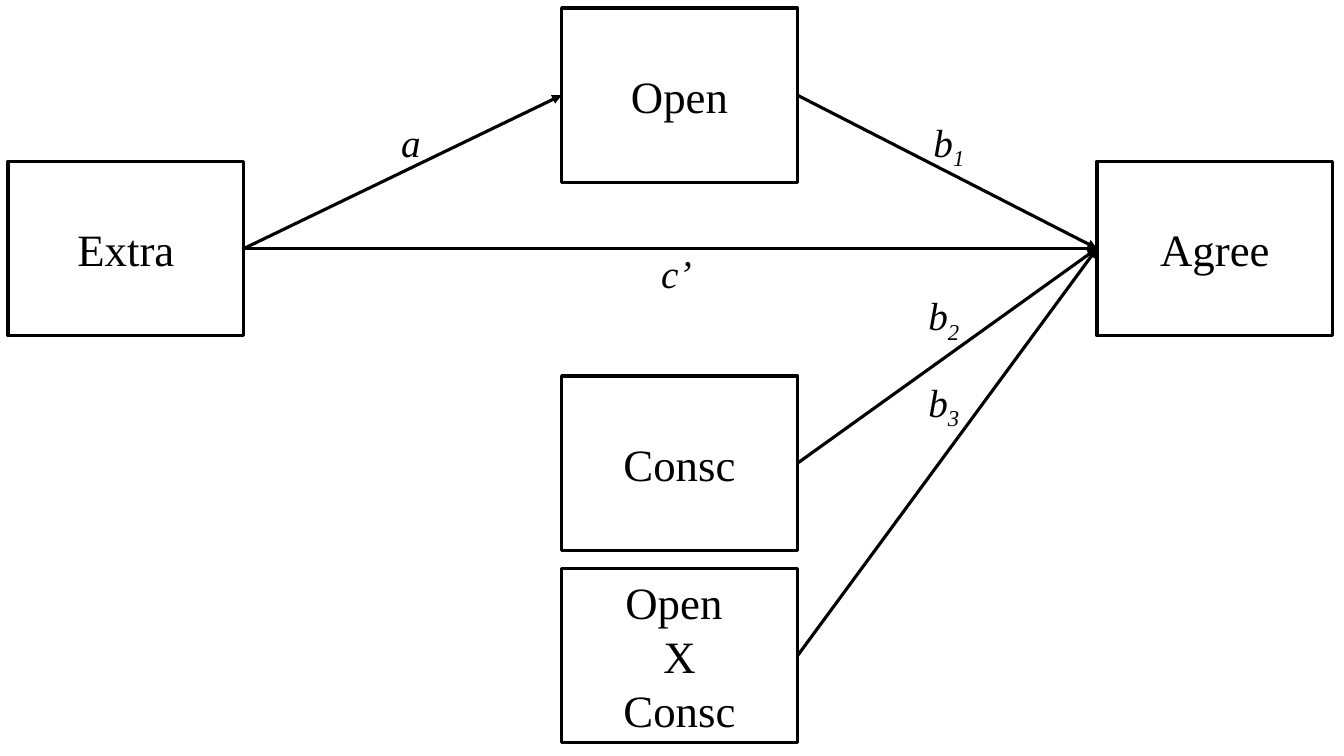
from pptx import Presentation
from pptx.dml.color import RGBColor
from pptx.enum import shapes, text
from pptx.oxml.ns import qn
from pptx.util import Inches, Pt
from lxml import etree

theme = dict(font="Times New Roman", ink=RGBColor(0, 0, 0),
             paper=RGBColor(255, 255, 255), line=Pt(2.25), box=Pt(32), label=Pt(28))

deck = Presentation()
deck.slide_width, deck.slide_height = Inches(13.33), Inches(7.5)
slide = deck.slides.add_slide(deck.slide_layouts[6])


def style(font, size, italic=False):
    for name, value in dict(name=theme["font"], size=size, italic=italic).items():
        setattr(font, name, value)
    font.color.rgb = theme["ink"]


def stroke(line):
    line.color.rgb = theme["ink"]
    line.width = theme["line"]


# Variables of the model: three columns, all boxes the same size
wide, high = 2.34, 1.73
left, middle, right = 0.08, 5.57, 10.88
places = {
    "Extra": (left, 1.6, ["Extra"]),
    "Open": (middle, 0.08, ["Open"]),
    "Consc": (middle, 3.73, ["Consc"]),
    "Product": (middle, 5.64, ["Open ", "X", "Consc"]),
    "Agree": (right, 1.6, ["Agree"]),
}
boxes = {}
for key, (x, y, words) in places.items():
    box = slide.shapes.add_shape(shapes.MSO_SHAPE.RECTANGLE, Inches(x), Inches(y),
                                 Inches(wide), Inches(high))
    box.shadow.inherit = False
    box.fill.solid()
    box.fill.fore_color.rgb = theme["paper"]
    stroke(box.line)
    frame = box.text_frame
    frame.vertical_anchor = text.MSO_ANCHOR.MIDDLE
    frame.text = "\n".join(words)
    for para in frame.paragraphs:
        para.alignment = text.PP_ALIGN.CENTER
        style(para.runs[0].font, theme["box"])
    boxes[key] = box

# Paths: from the right side of one box to the left side of another
left_side, right_side = 1, 3
paths = [("Extra", "Open"), ("Extra", "Agree"), ("Open", "Agree"),
         ("Consc", "Agree"), ("Product", "Agree")]
for start, end in paths:
    arrow = slide.shapes.add_connector(shapes.MSO_CONNECTOR.STRAIGHT, 0, 0, 0, 0)
    arrow.begin_connect(boxes[start], right_side)
    arrow.end_connect(boxes[end], left_side)
    stroke(arrow.line)
    etree.SubElement(arrow.line._get_or_add_ln(), qn("a:tailEnd"), type="triangle")
    etree.SubElement(arrow._element.spPr, qn("a:effectLst"))

# Path coefficients, with subscripts
labels = [("a", "", 3.88, 1.12), ("b", "1", 9.16, 1.12), ("b", "2", 9.11, 2.84),
          ("b", "3", 9.11, 3.7), ("c’", "", 6.46, 2.42)]
for letter, index, x, y in labels:
    label = slide.shapes.add_textbox(Inches(x), Inches(y), Inches(0.6), Inches(0.57))
    label.text_frame.word_wrap = True
    para = label.text_frame.paragraphs[0]
    for part, base in ((letter, 0), (index, -25000)):
        if part:
            run = para.add_run()
            run.text = part
            style(run.font, theme["label"], italic=True)
            run._r.get_or_add_rPr().set("baseline", str(base))

deck.save("out.pptx")
